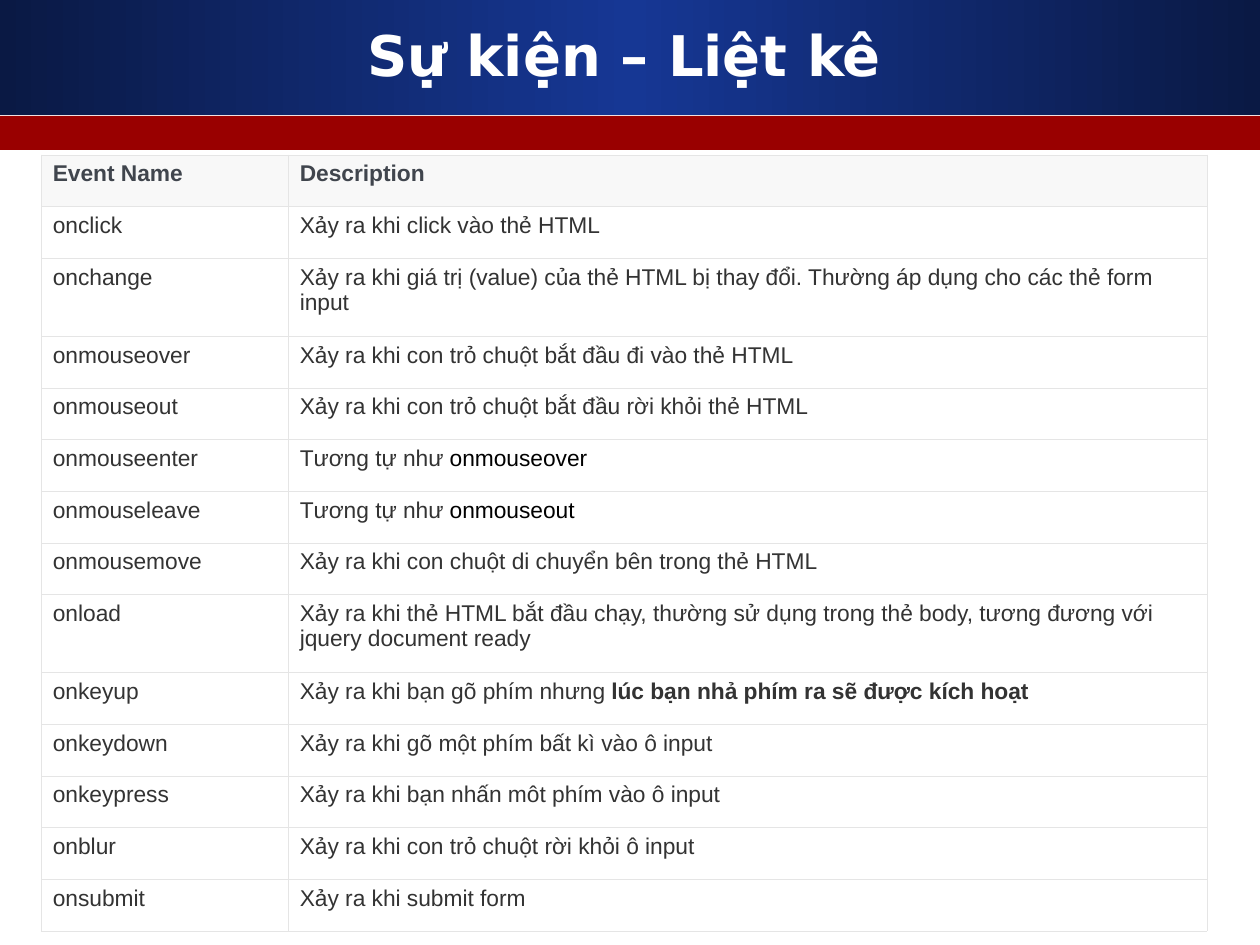
"""Build a slide that lists the HTML DOM events in a table."""
from copy import deepcopy

from lxml import etree
from pptx import Presentation
from pptx.dml.color import RGBColor
from pptx.enum.shapes import MSO_SHAPE
from pptx.enum.text import MSO_ANCHOR, PP_ALIGN
from pptx.oxml.ns import qn
from pptx.util import Inches, Pt

RECTANGLE = MSO_SHAPE.RECTANGLE
CENTER = PP_ALIGN.CENTER
MIDDLE = MSO_ANCHOR.MIDDLE

TITLE = "Sự kiện – Liệt kê"
HEADER = ("Event Name", "Description")
EVENTS = [
    ("onclick", "Xảy ra khi click vào thẻ HTML"),
    ("onchange", "Xảy ra khi giá trị (value) của thẻ HTML bị thay đổi. "
                 "Thường áp dụng cho các thẻ form input"),
    ("onmouseover", "Xảy ra khi con trỏ chuột bắt đầu đi vào thẻ HTML"),
    ("onmouseout", "Xảy ra khi con trỏ chuột bắt đầu rời khỏi thẻ HTML"),
    ("onmouseenter", "Tương tự như ", ("onmouseover", "code")),
    ("onmouseleave", "Tương tự như ", ("onmouseout", "code")),
    ("onmousemove", "Xảy ra khi con chuột di chuyển bên trong thẻ HTML"),
    ("onload", "Xảy ra khi thẻ HTML bắt đầu chạy, thường sử dụng trong thẻ body, "
               "tương đương với jquery document ready"),
    ("onkeyup", "Xảy ra khi bạn gõ phím nhưng ",
     ("lúc bạn nhả phím ra sẽ được kích hoạt", "strong")),
    ("onkeydown", "Xảy ra khi gõ một phím bất kì vào ô input"),
    ("onkeypress", "Xảy ra khi bạn nhấn môt phím vào ô input"),
    ("onblur", "Xảy ra khi con trỏ chuột rời khỏi ô input"),
    ("onsubmit", "Xảy ra khi submit form"),
]
TWO_LINE_EVENTS = {"onchange", "onload"}

THEME = {
    "title": {"name": "DejaVu Sans", "size": Pt(32), "bold": True, "color": "FFFFFF"},
    "header": {"name": "Arial", "size": Pt(13), "bold": True, "color": "40454D"},
    "body": {"name": "Arial", "size": Pt(13), "bold": False, "color": "333333"},
    "code": {"name": "Arial", "size": Pt(13), "bold": False, "color": "000000"},
    "strong": {"name": "Arial", "size": Pt(13), "bold": True, "color": "333333"},
    "header_fill": "F8F8F8",
    "body_fill": "FFFFFF",
    "border": "E5E5E5",
    "stripe": "990000",
    "banner": [(0, "0A1944"), (0.5, "163794"), (1, "0A1944")],
}
SLIDE_WIDTH, SLIDE_HEIGHT = 10, 7.5
CONTENT_LEFT, CONTENT_WIDTH = 0.33, 9.25
COLUMN_WIDTHS = (1.96, 7.29)
ROW_HEIGHT, TWO_LINE_HEIGHT = 0.41, 0.62
CELL_MARGINS = {
    "margin_left": Inches(0.09), "margin_right": Inches(0.09),
    "margin_top": Inches(0.05), "margin_bottom": Inches(0.05),
}


def apply_font(font, style):
    for attribute, value in THEME[style].items():
        if attribute == "color":
            font.color.rgb = RGBColor.from_string(value)
        else:
            setattr(font, attribute, value)


def add_band(slide, top, height):
    band = slide.shapes.add_shape(
        RECTANGLE, 0, Inches(top), Inches(SLIDE_WIDTH), Inches(height))
    band.shadow.inherit = False
    band.line.fill.background()
    slide.shapes.title.element.addprevious(band.element)
    return band


def add_bands(slide):
    banner = add_band(slide, 0, 0.91)
    banner.fill.gradient()
    banner.fill.gradient_angle = 0
    stops = banner.element.find(".//" + qn("a:gsLst"))
    stops.insert(1, deepcopy(stops[0]))
    for stop, (position, color) in zip(banner.fill.gradient_stops, THEME["banner"]):
        stop.position = position
        stop.color.rgb = RGBColor.from_string(color)
    stripe = add_band(slide, 0.92, 0.27)
    stripe.fill.solid()
    stripe.fill.fore_color.rgb = RGBColor.from_string(THEME["stripe"])


def fill_title(title):
    title.left, title.top = Inches(CONTENT_LEFT), Inches(0.17)
    title.width, title.height = Inches(CONTENT_WIDTH), Inches(0.62)
    title.text_frame.text = TITLE
    title.text_frame.vertical_anchor = MIDDLE
    heading = title.text_frame.paragraphs[0]
    heading.alignment = CENTER
    heading.line_spacing = 0.8
    apply_font(heading.runs[0].font, "title")


def add_borders(cell):
    properties = cell._tc.get_or_add_tcPr()
    for index, side in enumerate(("lnL", "lnR", "lnT", "lnB")):
        border = etree.Element(qn("a:" + side), w=str(Pt(0.34)))
        solid = etree.SubElement(border, qn("a:solidFill"))
        etree.SubElement(solid, qn("a:srgbClr"), val=THEME["border"])
        properties.insert(index, border)


def fill_cell(cell, parts, style, fill):
    for attribute, value in CELL_MARGINS.items():
        setattr(cell, attribute, value)
    cell.fill.solid()
    cell.fill.fore_color.rgb = RGBColor.from_string(THEME[fill])
    add_borders(cell)
    paragraph = cell.text_frame.paragraphs[0]
    paragraph.space_after = Pt(15)
    for part in parts:
        text, part_style = (part, style) if isinstance(part, str) else part
        run = paragraph.add_run()
        run.text = text
        apply_font(run.font, part_style)


def add_event_table(slide):
    rows = [HEADER, *EVENTS]
    heights = [TWO_LINE_HEIGHT if row[0] in TWO_LINE_EVENTS else ROW_HEIGHT
               for row in rows]
    table = slide.shapes.add_table(
        len(rows), len(COLUMN_WIDTHS), Inches(CONTENT_LEFT), Inches(1.23),
        Inches(CONTENT_WIDTH), Inches(sum(heights))).table
    for column, width in zip(table.columns, COLUMN_WIDTHS):
        column.width = Inches(width)
    for index, ((event, *description), height) in enumerate(zip(rows, heights)):
        table.rows[index].height = Inches(height)
        style = "body" if index else "header"
        for column, parts in enumerate(([event], description)):
            fill_cell(table.cell(index, column), parts, style, style + "_fill")


def main():
    presentation = Presentation()
    presentation.slide_width = Inches(SLIDE_WIDTH)
    presentation.slide_height = Inches(SLIDE_HEIGHT)
    slide = presentation.slides.add_slide(presentation.slide_layouts[5])
    add_bands(slide)
    fill_title(slide.shapes.title)
    add_event_table(slide)
    presentation.save("out.pptx")


if __name__ == "__main__":
    main()
